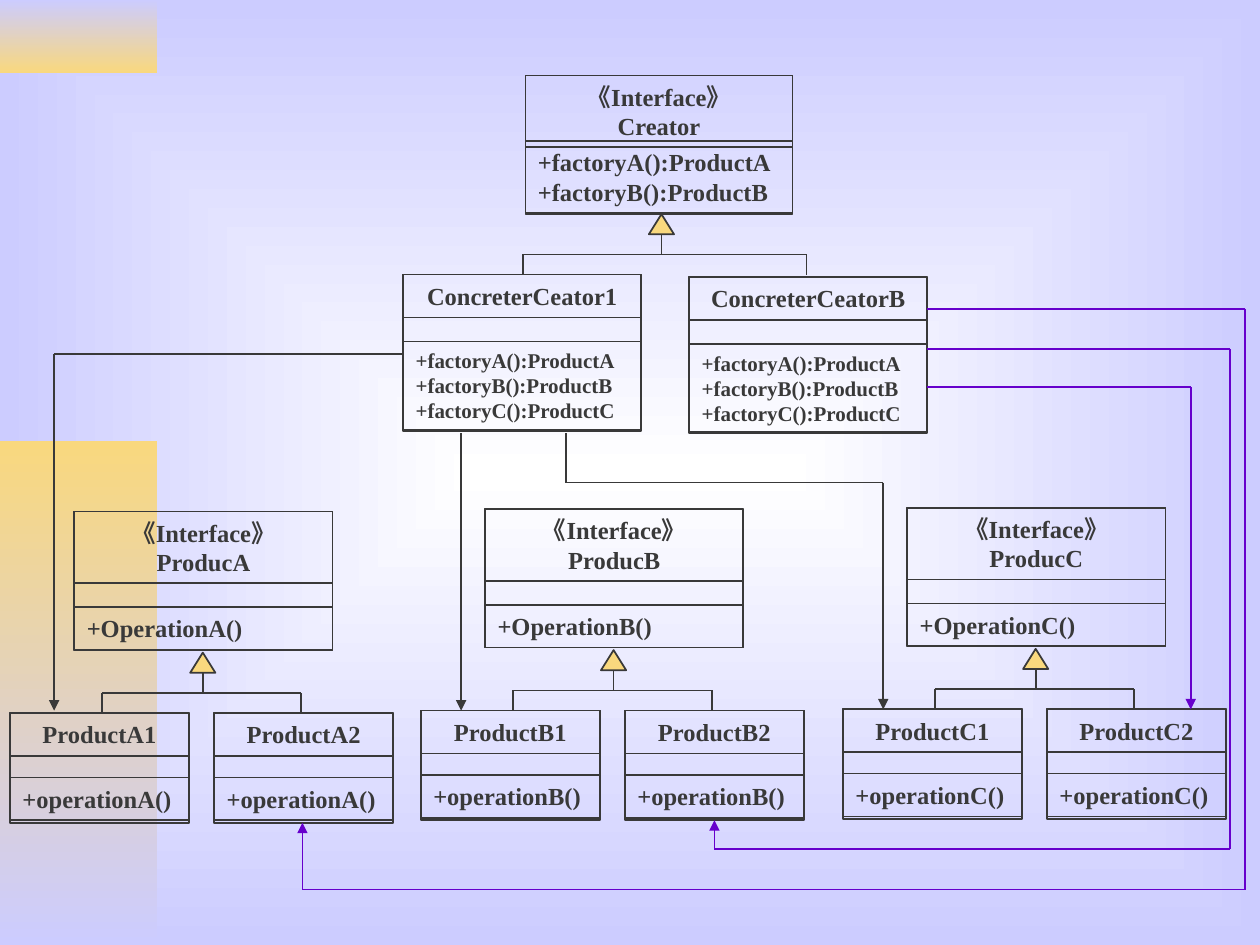
from collections import namedtuple

from lxml import etree
from pptx import Presentation
from pptx.dml.color import RGBColor
from pptx.enum.shapes import MSO_CONNECTOR, MSO_SHAPE
from pptx.enum.text import MSO_ANCHOR, MSO_AUTO_SIZE, PP_ALIGN
from pptx.oxml.ns import qn
from pptx.util import Inches, Pt

RECTANGLE = MSO_SHAPE.RECTANGLE
TRIANGLE = MSO_SHAPE.FLOWCHART_EXTRACT
STRAIGHT = MSO_CONNECTOR.STRAIGHT
LEFT, CENTER = PP_ALIGN.LEFT, PP_ALIGN.CENTER

INK = RGBColor(0x39, 0x39, 0x39)
PURPLE = RGBColor(0x66, 0x00, 0xCC)
GOLD = RGBColor(0xF9, 0xD8, 0x7E)
LAVENDER = RGBColor(0xCC, 0xCC, 0xFF)
WHITE = RGBColor(0xFF, 0xFF, 0xFF)

# Class box sizes in inches; method_top is measured from the top of the box
BoxKind = namedtuple("BoxKind", "width height title method_top method size")
CREATOR = BoxKind(2.12, 1.1, 0.57, 0.52, 0.57, 14)
CONCRETE = BoxKind(1.89, 1.24, 0.34, 0.53, 0.7, 12)
INTERFACE = BoxKind(2.05, 1.1, 0.57, 0.76, 0.34, 14)
PRODUCT = BoxKind(1.42, 0.87, 0.34, 0.51, 0.34, 14)

FACTORY_METHODS = "+factoryA():ProductA +factoryB():ProductB"
FAMILIES = [("A", 0.59, 4.06), ("B", 3.85, 4.04), ("C", 7.2, 4.03)]

# Routes from each concrete creator to its products; the last point of an
# arrow route carries the head
CREATOR_1_ROUTES = [
    [(3.19, 2.81), (0.43, 2.81), (0.43, 5.64)],
    [(3.66, 3.44), (3.66, 5.64)],
    [(4.49, 3.44), (4.49, 3.83), (7.01, 3.83), (7.01, 5.63)],
]
CREATOR_B_ROUTES = [
    [(7.36, 3.07), (9.45, 3.07), (9.45, 5.63)],
    [(7.36, 2.77), (9.76, 2.77), (9.76, 6.74), (5.67, 6.74), (5.67, 6.51)],
    [(7.36, 2.45), (9.88, 2.45), (9.88, 7.06), (2.4, 7.06), (2.4, 6.53)],
]


def set_gradient(fill, first, last):
    fill.gradient()
    for stop, position, color in zip(fill.gradient_stops, (0, 1), (first, last)):
        stop.position = position
        stop.color.rgb = color


def paint_background(slide):
    fill = slide.background.fill
    set_gradient(fill, WHITE, LAVENDER)
    # The gradient spreads from the centre of the slide
    linear = next(slide.background._cSld.iter(qn("a:lin")))
    path = etree.Element(qn("a:path"), {"path": "rect"})
    sides = dict.fromkeys("ltrb", "50000")
    etree.SubElement(path, qn("a:fillToRect"), sides)
    linear.getparent().replace(linear, path)


def add_outline(slide, preset, left, top, width, height):
    shape = slide.shapes.add_shape(
        preset, Inches(left), Inches(top), Inches(width), Inches(height))
    shape.shadow.inherit = False
    shape.fill.background()
    shape.line.color.rgb = INK
    shape.line.width = Pt(1)
    return shape


def add_band(slide, top, height, first, last):
    band = add_outline(slide, RECTANGLE, 0, top, 1.25, height)
    band.line.fill.background()
    set_gradient(band.fill, first, last)
    band.fill.gradient_angle = 270


def add_compartment(slide, left, top, width, height, text, size, align):
    box = add_outline(slide, RECTANGLE, left, top, width, height)
    frame = box.text_frame
    frame_format = {
        "word_wrap": True,
        "auto_size": MSO_AUTO_SIZE.SHAPE_TO_FIT_TEXT,
        "vertical_anchor": MSO_ANCHOR.TOP,
    }
    for name, value in frame_format.items():
        setattr(frame, name, value)
    para = frame.paragraphs[0]
    para.text = text
    para.alignment = align
    font_format = {"name": "Times New Roman", "size": Pt(size), "bold": True}
    for span in para.runs:
        for name, value in font_format.items():
            setattr(span.font, name, value)
        span.font.color.rgb = INK


def add_class(slide, kind, left, top, title, methods):
    add_outline(slide, RECTANGLE, left, top, kind.width, kind.height)
    add_compartment(slide, left, top, kind.width, kind.title, title, 14, CENTER)
    add_compartment(slide, left, top + kind.method_top, kind.width, kind.method,
                    methods, kind.size, LEFT)


def add_line(slide, start, end, color=INK, arrow=False):
    points = [Inches(value) for value in (*start, *end)]
    line = slide.shapes.add_connector(STRAIGHT, *points)
    line.line.color.rgb = color
    line.line.width = Pt(1)
    if arrow:
        etree.SubElement(line.line._get_or_add_ln(), qn("a:tailEnd"),
                         {"type": "triangle"})
    etree.SubElement(line._element.spPr, qn("a:effectLst"))


def add_route(slide, points, color):
    last = len(points) - 1
    for index in range(last):
        add_line(slide, points[index], points[index + 1], color,
                 arrow=index + 1 == last)


def add_inheritance(slide, center, top, left, right):
    """Triangle, stem and a fork that drops to two child classes."""
    triangle = add_outline(slide, TRIANGLE, center - 0.1, top, 0.2, 0.16)
    triangle.fill.solid()
    triangle.fill.fore_color.rgb = GOLD
    bar = top + 0.32
    add_line(slide, (center, top + 0.16), (center, bar))
    add_line(slide, (left, bar), (right, bar))
    for child in (left, right):
        add_line(slide, (child, bar), (child, bar + 0.16))


def add_family(slide, letter, left, top):
    add_class(slide, INTERFACE, left, top, f"《Interface》\vProduc{letter}",
              f"+Operation{letter}()")
    for number, offset in ((1, -0.51), (2, 1.11)):
        add_class(slide, PRODUCT, left + offset, top + 1.6,
                  f"Product{letter}{number}", f"+operation{letter}()")
    add_inheritance(slide, left + 1.02, top + 1.12, left + 0.22, left + 1.8)


def main():
    deck = Presentation()
    deck.slide_width, deck.slide_height = Inches(10), Inches(7.5)
    slide = deck.slides.add_slide(deck.slide_layouts[6])

    # Backdrop
    paint_background(slide)
    add_band(slide, 0, 0.58, LAVENDER, GOLD)
    add_band(slide, 3.5, 4, GOLD, LAVENDER)

    # Creator hierarchy
    add_class(slide, CREATOR, 4.17, 0.6, "《Interface》\vCreator", FACTORY_METHODS)
    for name, left, top in (("ConcreterCeator1", 3.2, 2.18),
                            ("ConcreterCeatorB", 5.47, 2.2)):
        add_class(slide, CONCRETE, left, top, name,
                  FACTORY_METHODS + " +factoryC():ProductC")
    add_inheritance(slide, 5.25, 1.7, 4.15, 6.4)

    # Product hierarchies
    for family in FAMILIES:
        add_family(slide, *family)

    # Dependencies on products
    for routes, color in ((CREATOR_1_ROUTES, INK), (CREATOR_B_ROUTES, PURPLE)):
        for route in routes:
            add_route(slide, route, color)

    deck.save("out.pptx")


if __name__ == "__main__":
    main()
